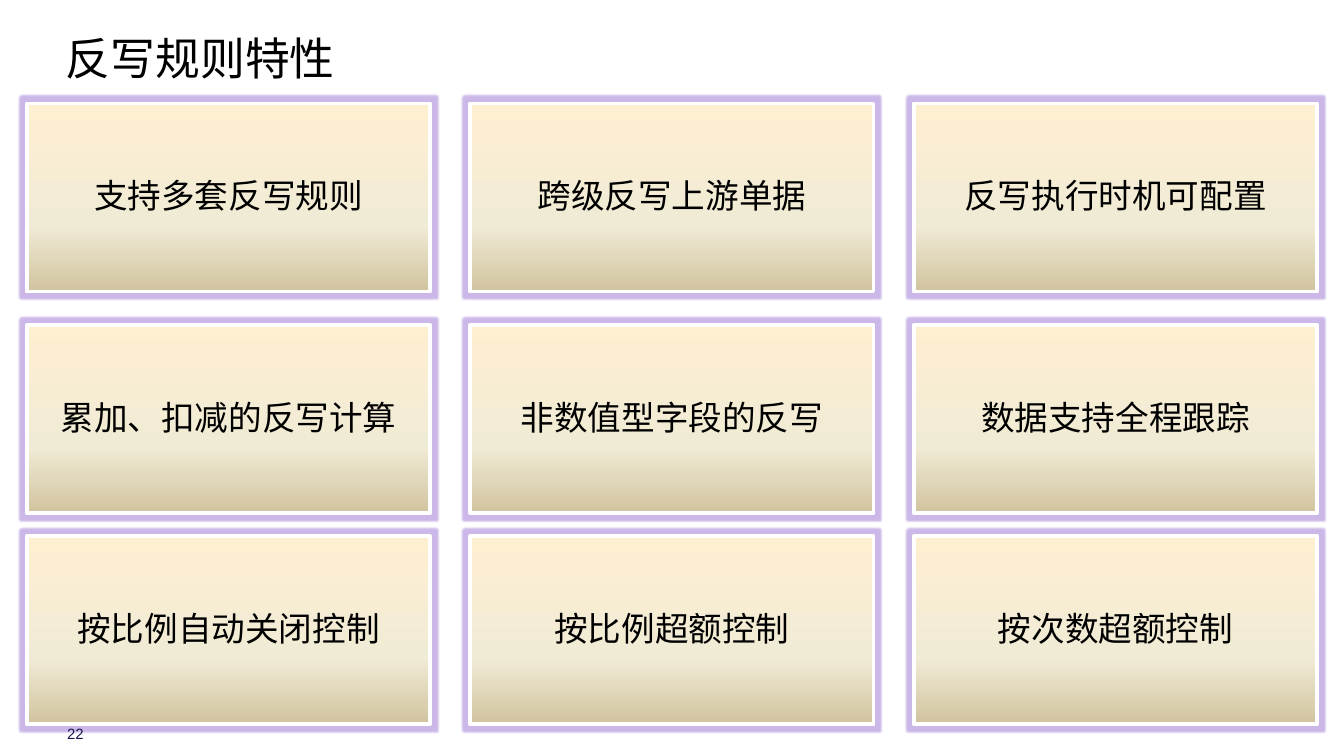
"""Build the slide on the features of write-back rules."""
from copy import deepcopy

from lxml import etree
from pptx import Presentation
from pptx.dml.color import RGBColor
from pptx.enum import shapes, text
from pptx.oxml import ns
from pptx.util import Pt

CJK = "Noto Sans CJK SC"
FEATURES = [
    ["支持多套反写规则", "跨级反写上游单据", "反写执行时机可配置"],
    ["累加、扣减的反写计算", "非数值型字段的反写", "数据支持全程跟踪"],
    ["按比例自动关闭控制", "按比例超额控制", "按次数超额控制"],
]
ROW_TOPS = [55.44, 174.24, 287.28]
LEFT, COLUMN_STEP = 14.4, 237.6
CARD_WIDTH, CARD_HEIGHT = 216, 100.8
GRADIENT = [(0, "FFEFD1"), (0.65, "F0EBD5"), (1, "D1C39F")]


def rgb(value):
    """Return the colour for a hex string."""
    return RGBColor.from_string(value)


def write(frame, words, size, font, color, align, anchor, inset=0):
    """Fill a text frame with one formatted paragraph."""
    frame.word_wrap = True
    frame.auto_size = text.MSO_AUTO_SIZE.NONE
    frame.vertical_anchor = anchor
    frame.margin_left = frame.margin_right = Pt(inset)
    frame.margin_top = frame.margin_bottom = Pt(inset)
    frame.text = words
    line = frame.paragraphs[0]
    line.alignment = align
    line.font.size = Pt(size)
    line.font.name = font
    line.font.color.rgb = rgb(color)
    defaults = line._p.pPr.find(ns.qn("a:defRPr"))
    etree.SubElement(defaults, ns.qn("a:ea"), typeface=font)
    return line


def add_gradient(card):
    """Give a card its three-stop vertical gradient."""
    card.fill.gradient()
    card.fill.gradient_angle = 270
    stops = card._element.spPr.find(".//" + ns.qn("a:gsLst"))
    stops.append(deepcopy(stops[-1]))
    for stop, (position, color) in zip(card.fill.gradient_stops, GRADIENT):
        stop.position = position
        stop.color.rgb = rgb(color)


def add_glow(card, radius, color):
    """Put a soft halo around a card in place of its shadow."""
    card.shadow.inherit = False
    effects = card._element.spPr.find(ns.qn("a:effectLst"))
    glow = etree.SubElement(effects, ns.qn("a:glow"), rad=str(Pt(radius)))
    etree.SubElement(glow, ns.qn("a:srgbClr"), val=color)


def add_card(slide, left, top, feature):
    """Add one feature card."""
    card = slide.shapes.add_shape(
        shapes.MSO_SHAPE.RECTANGLE, Pt(left), Pt(top), Pt(CARD_WIDTH), Pt(CARD_HEIGHT))
    add_gradient(card)
    card.line.color.rgb = rgb("FFFFFF")
    card.line.width = Pt(2)
    add_glow(card, 2, "CBB8E8")
    line = write(card.text_frame, feature, 18, CJK, "000000",
                 text.PP_ALIGN.CENTER, text.MSO_ANCHOR.MIDDLE, 5.76)
    line.line_spacing = 0.9


def add_title(slide, words):
    """Place and format the slide title."""
    title = slide.shapes.title
    title.left, title.top, title.width, title.height = Pt(35.28), Pt(16.56), Pt(661.68), Pt(41.04)
    write(title.text_frame, words, 24, CJK, "000000",
          text.PP_ALIGN.LEFT, text.MSO_ANCHOR.TOP)


def add_page_number(slide, number):
    """Add the page number at the foot of the slide."""
    box = slide.shapes.add_textbox(Pt(36), Pt(388.08), Pt(18), Pt(9.36))
    write(box.text_frame, number, 8, "Arial", "1A154C",
          text.PP_ALIGN.LEFT, text.MSO_ANCHOR.MIDDLE)


def main():
    """Build and save the slide."""
    deck = Presentation()
    deck.slide_width, deck.slide_height = Pt(720), Pt(405)
    slide = deck.slides.add_slide(deck.slide_layouts[5])
    add_title(slide, "反写规则特性")
    for top, row in zip(ROW_TOPS, FEATURES):
        for column, feature in enumerate(row):
            add_card(slide, LEFT + column * COLUMN_STEP, top, feature)
    add_page_number(slide, "22")
    deck.save("out.pptx")


if __name__ == "__main__":
    main()
